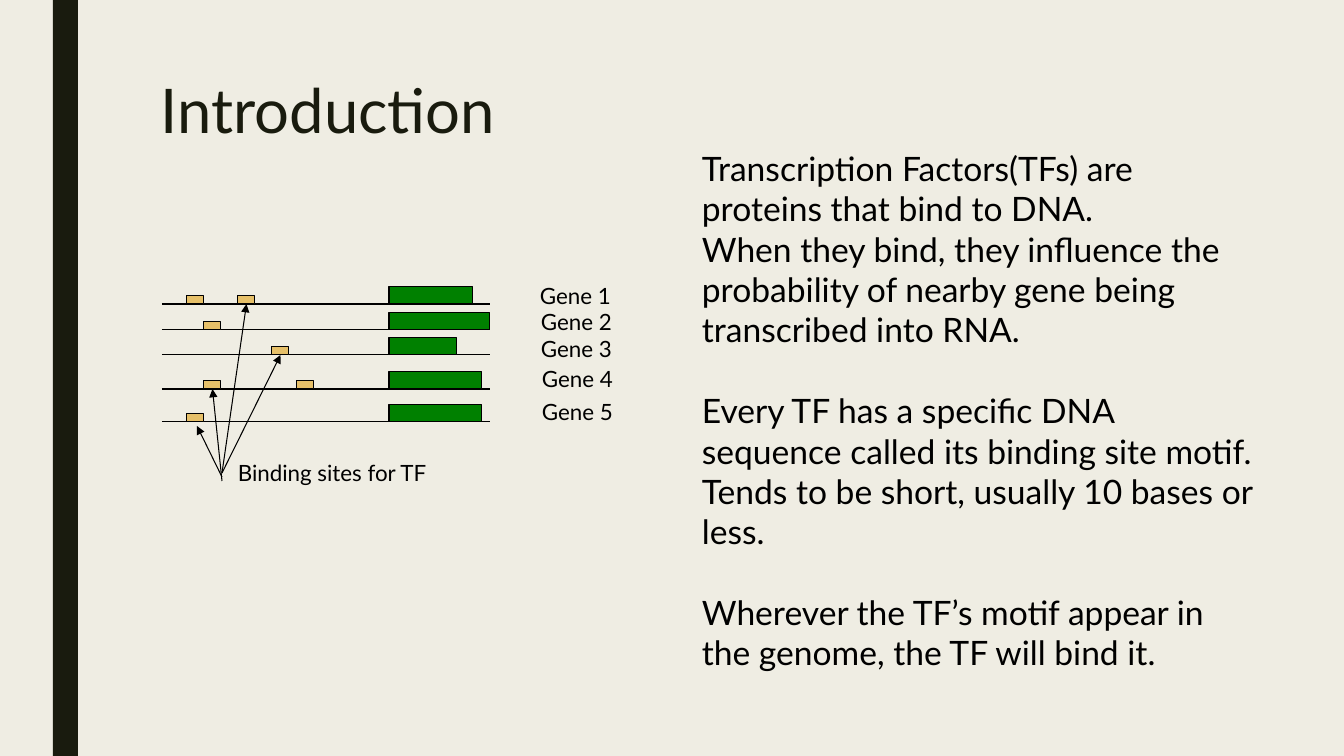
from lxml import etree
from pptx import Presentation
from pptx import util as u
from pptx.dml.color import RGBColor
from pptx.enum import shapes, text
from pptx.oxml.ns import qn

PX = 914400 / 100.8
COLORS = {"paper": "EFEDE3", "dark": "191B0E", "gene": "008000",
          "site": "E6C069", "black": "000000"}

deck = Presentation()
deck.slide_width, deck.slide_height = u.Emu(round(1344 * PX)), u.Emu(round(756 * PX))
slide = deck.slides.add_slide(deck.slide_layouts[6])
slide.background.fill.solid()
slide.background.fill.fore_color.rgb = RGBColor.from_string(COLORS["paper"])


def add_text(paragraphs, *box, size=16, color="black", wrap=True, spacing=None):
    """Write (words, points of space before) pairs into a text box given in px."""
    frame = slide.shapes.add_textbox(*(round(n * PX) for n in box)).text_frame
    frame.word_wrap = wrap
    frame.vertical_anchor = text.MSO_ANCHOR.TOP
    for i, (words, before) in enumerate(paragraphs):
        paragraph = frame.paragraphs[0] if i == 0 else frame.add_paragraph()
        paragraph.space_before = u.Pt(before)
        if spacing:
            paragraph.line_spacing = spacing
        run = paragraph.add_run()
        run.text = words
        run.font.name, run.font.size = "Lato", u.Pt(size)
        run.font.color.rgb = RGBColor.from_string(COLORS[color])


def add_piece(*box, fill=None, outlined=True):
    """Draw a rectangle (left, top, width, height), or a line (from, to) without fill."""
    box = [round(n * PX) for n in box]
    if fill:
        piece = slide.shapes.add_shape(shapes.MSO_SHAPE.RECTANGLE, *box)
        piece.shadow.inherit = False
        piece.fill.solid()
        piece.fill.fore_color.rgb = RGBColor.from_string(COLORS[fill])
    else:
        piece = slide.shapes.add_connector(shapes.MSO_CONNECTOR.STRAIGHT, *box)
    if outlined:
        piece.line.color.rgb = RGBColor.from_string(COLORS["black"])
        piece.line.width = u.Pt(0.75)
    else:
        piece.line.fill.background()
    if not fill:
        etree.SubElement(piece._element.spPr, qn("a:effectLst"))
    return piece


add_piece(53, 0, 25, 756, fill="dark", outlined=False)
add_text([("Introduction", 0)], 151, 76, 1058, 163, size=44, color="dark", spacing=0.89)

# Strand height, gene width, label position, binding site positions
strands = [
    (304, 84, (530, 277), (187, 238)),
    (330, 101, (531, 303), (204,)),
    (355, 68, (531, 330), (272,)),
    (389, 93, (532, 360), (204, 297)),
    (422, 93, (532, 393), (187,)),
]
sites = {}
for number, (strand_y, gene_width, label_at, site_lefts) in enumerate(strands, 1):
    add_piece(162, strand_y, 490, strand_y)
    add_piece(389, strand_y - 17, gene_width, 17, fill="gene")
    add_text([(f"Gene {number}", 0)], *label_at, 94, 37, wrap=False)
    for site_left in site_lefts:
        sites[number, site_left] = add_piece(site_left, strand_y - 8, 17, 8, fill="site")

# Arrow start height, arrow tip, site that the tip touches
arrows = [
    (477, (197, 426), None),
    (481, (213, 389), (4, 204)),
    (473, (280, 355), (3, 272)),
    (473, (247, 304), (1, 238)),
]
for start_y, tip, site in arrows:
    arrow = add_piece(222, start_y, *tip)
    if site:
        arrow.end_connect(sites[site], 2)
    etree.SubElement(arrow.line._get_or_add_ln(), qn("a:tailEnd"), type="triangle")
add_text([("Binding sites for TF", 0)], 228, 454, 214, 37, wrap=False)

add_text([
    ("Transcription Factors(TFs) are proteins that bind to DNA.", 0),
    ("When they bind, they influence the probability of nearby gene being "
     "transcribed into RNA.", 0),
    ("Every TF has a specific DNA sequence called its binding site motif.", 29),
    ("Tends to be short, usually 10 bases or less.", 0),
    ("Wherever the TF’s motif appear in the genome, the TF will bind it.", 29),
], 692, 143, 577, 539, size=24)

deck.save("out.pptx")
